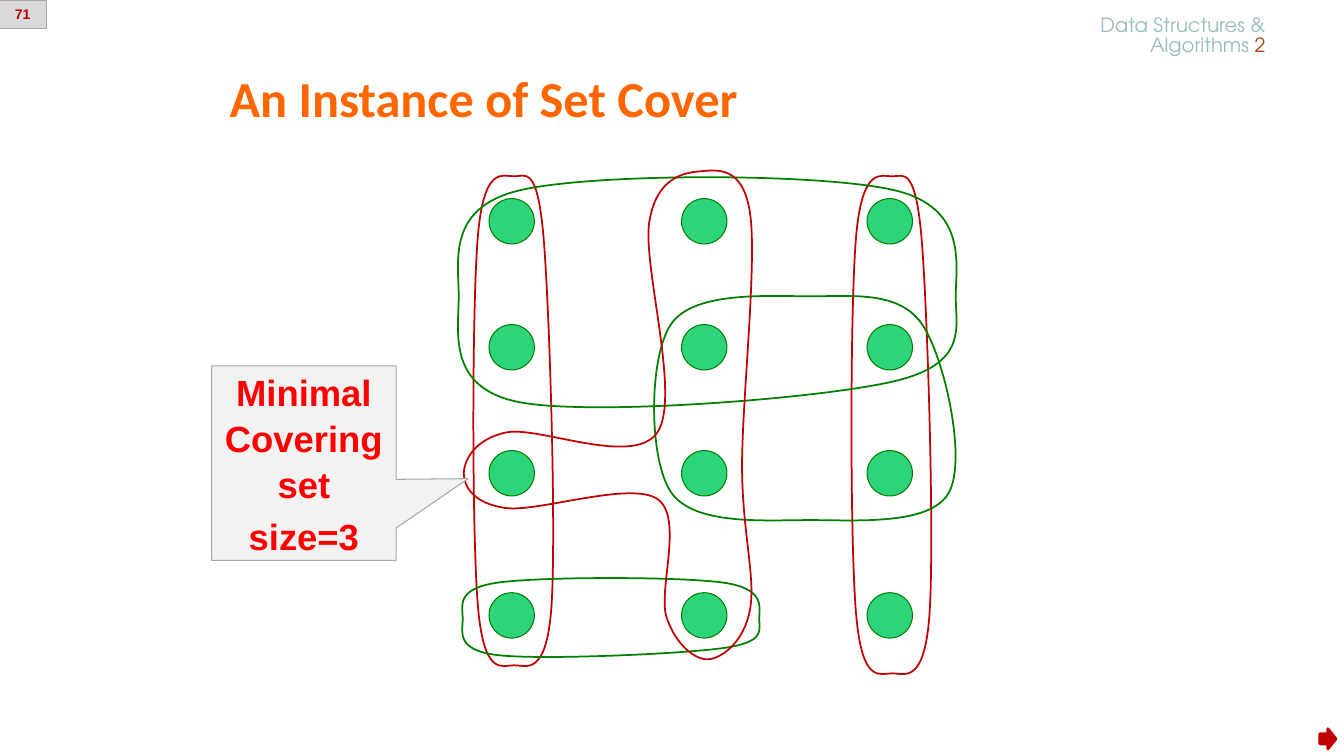
from itertools import product
from pptx import Presentation
from pptx.dml.color import RGBColor
from pptx.enum.shapes import MSO_SHAPE as SHAPE
from pptx.enum.text import MSO_ANCHOR as ANCHOR, PP_ALIGN as ALIGN
from pptx.oxml.ns import qn
from pptx.util import Inches, Pt

ORANGE = RGBColor(0xFF, 0x66, 0x00)
MINT = RGBColor(0x2E, 0xD4, 0x79)
GREEN = RGBColor(0x00, 0x80, 0x00)
DARK_RED = RGBColor(0xC0, 0x00, 0x00)
RED = RGBColor(0xFF, 0x00, 0x00)
PALE_GRAY = RGBColor(0xF2, 0xF2, 0xF2)
LIGHT_GRAY = RGBColor(0xD9, 0xD9, 0xD9)
MID_GRAY = RGBColor(0xA6, 0xA6, 0xA6)
TEAL = RGBColor(0x9A, 0xBC, 0xBC)
RUST = RGBColor(0xA4, 0x41, 0x14)

prs = Presentation()
prs.slide_width, prs.slide_height = Inches(13.33), Inches(7.5)
s = prs.slides.add_slide(prs.slide_layouts[6])


def add_box(preset, box, fill, line, width=0.75):
    """Add a filled preset shape; box is left, top, width, height in inches."""
    sp = s.shapes.add_shape(preset, *map(Inches, box))
    sp.shadow.inherit = False
    sp.fill.solid()
    sp.fill.fore_color.rgb = fill
    sp.line.color.rgb = line
    sp.line.width = Pt(width)
    return sp


def write(sp, lines, font, size, color, align, bold=False):
    """Fill a shape with one paragraph per line."""
    tf = sp.text_frame
    tf.word_wrap = True
    tf.text = "\n".join(lines)
    for p in tf.paragraphs:
        p.alignment = align
        p.font.name, p.font.size, p.font.bold = font, Pt(size), bold
        p.font.color.rgb = color
    return tf


title = s.shapes.add_textbox(Inches(2.18), Inches(0.68), Inches(7.72), Inches(0.59))
tf = write(title, ["An Instance of Set Cover"], "Calibri", 36, ORANGE, ALIGN.LEFT, True)
tf.vertical_anchor = ANCHOR.BOTTOM
tf.margin_top = tf.margin_bottom = 0

# Elements to be covered
for x, y in product((4.85, 6.76, 8.6), (1.97, 3.22, 4.47, 5.88)):
    add_box(SHAPE.FLOWCHART_CONNECTOR, (x, y, 0.45, 0.45), MINT, GREEN)

# Outlines of the sets, as the points that a smooth closed curve passes through
sets = [
    (DARK_RED, [(x, top), (x, low), (x + 0.36, bottom),
                (x + 0.73, low), (x + 0.65, top), (x + 0.36, 1.75)])
    for x, top, low, bottom in ((4.74, 2.34, 6.01, 6.6), (8.49, 2.36, 6.08, 6.68))
]
sets += [
    (GREEN, [(8.88, 1.89), (5.15, 1.89), (4.55, 2.94),
             (5.15, 3.99), (8.88, 3.78), (9.48, 2.94)]),
    (GREEN, [(6.66, 3.21), (6.66, 4.89), (8.04, 5.16),
             (9.41, 4.89), (9.14, 3.21), (8.04, 2.94)]),
    (GREEN, [(7.17, 5.78), (4.94, 5.78), (4.59, 6.14),
             (4.94, 6.5), (7.17, 6.43), (7.53, 6.14)]),
    (DARK_RED, [(6.44, 2.2), (6.52, 4.29), (5.02, 4.29), (4.6, 4.7),
                (5.02, 5.04), (6.52, 4.95), (6.61, 6.12), (7.03, 6.54),
                (7.44, 6.04), (7.36, 4.62), (7.44, 2.12), (6.94, 1.7)]),
]
for color, outline in sets:
    knots = [(Inches(x), Inches(y)) for x, y in outline]
    # A handle is a sixth of the step between the two neighbours of its knot
    handles = [((after[0] - before[0]) // 6, (after[1] - before[1]) // 6)
               for before, after in zip(knots[-1:] + knots[:-1], knots[1:] + knots[:1])]
    points = []
    for i, (x, y) in enumerate(knots):
        j = (i + 1) % len(knots)
        (dx, dy), (end_x, end_y), (end_dx, end_dy) = handles[i], knots[j], handles[j]
        points += [(x + dx, y + dy), (end_x - end_dx, end_y - end_dy), (end_x, end_y)]
    builder = s.shapes.build_freeform(*knots[0])
    builder.add_line_segments(points, close=True)
    sp = builder.convert_to_shape()
    sp.shadow.inherit = False
    sp.fill.background()
    sp.line.color.rgb = color
    sp.line.width = Pt(1.25)
    # Merge every three line segments into one cubic curve
    segments = list(sp._element.iter(qn("a:lnTo")))
    for i in range(0, len(segments), 3):
        curve = segments[i]
        curve.tag = qn("a:cubicBezTo")
        for segment in segments[i + 1:i + 3]:
            curve.append(segment[0])
            segment.getparent().remove(segment)

callout = add_box(SHAPE.RECTANGULAR_CALLOUT, (2.1, 3.63, 1.83, 1.93), PALE_GRAY, MID_GRAY)
callout.adjustments[0], callout.adjustments[1] = 0.89, 0.08
tf = write(callout, ["Minimal Covering set", "size=3"], "Arial", 26, RED, ALIGN.CENTER, True)
for p in tf.paragraphs:
    p.line_spacing = 1.05
tf.paragraphs[1].space_before = Pt(4.5)

course = s.shapes.add_textbox(Inches(10.45), Inches(0.12), Inches(2.2), Inches(0.49))
tf = write(course, ["Data Structures &", "Algorithms "], "TeX Gyre Adventor", 14, TEAL, ALIGN.RIGHT)
for p in tf.paragraphs:
    p.line_spacing = Pt(14)
r = tf.paragraphs[1].add_run()
r.text = "2"
r.font.color.rgb = RUST

add_box(SHAPE.RIGHT_ARROW, (13.09, 7.23, 0.16, 0.2), DARK_RED, DARK_RED, 2)

page = add_box(SHAPE.RECTANGLE, (-0.01, 0, 0.47, 0.28), LIGHT_GRAY, MID_GRAY)
write(page, ["71"], "Arial", 10, DARK_RED, ALIGN.CENTER, True)

prs.save("out.pptx")
